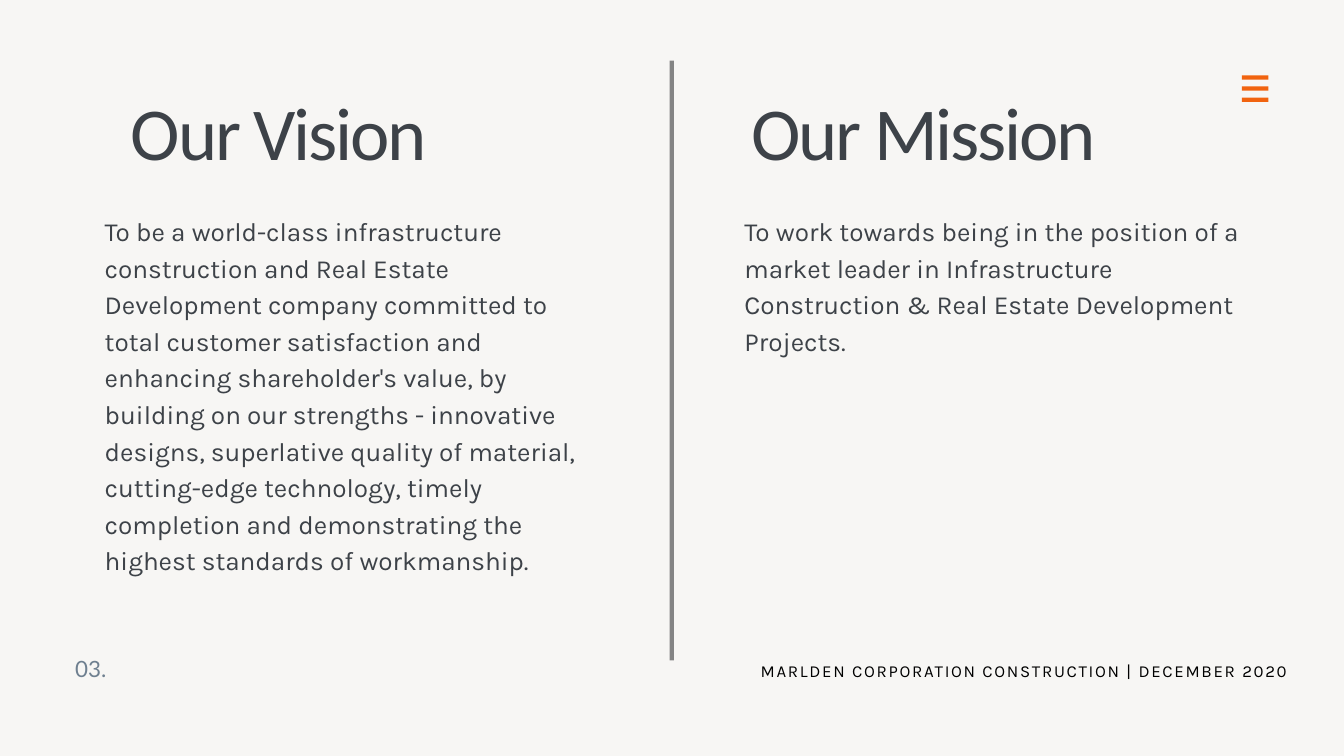
from dataclasses import dataclass

from pptx import Presentation
from pptx.dml.color import RGBColor
from pptx.enum.shapes import MSO_SHAPE
from pptx.enum.text import MSO_ANCHOR, MSO_AUTO_SIZE, PP_ALIGN
from pptx.shapes.autoshape import Shape
from pptx.slide import Slide
from pptx.util import Cm, Pt

RECTANGLE = MSO_SHAPE.RECTANGLE
TOP = MSO_ANCHOR.TOP
GROW = MSO_AUTO_SIZE.SHAPE_TO_FIT_TEXT
LEFT, CENTER = PP_ALIGN.LEFT, PP_ALIGN.CENTER

COLORS = {
    "background": "F7F6F4",
    "menu": "F1630F",
    "divider": "848484",
    "ink": "3D4248",
    "number": "6F8090",
    "footer": "000000",
}


@dataclass(frozen=True)
class Box:
    left: float
    top: float
    width: float
    height: float


@dataclass(frozen=True)
class Style:
    font: str
    size: float
    leading: float
    color: str
    tracking: float = 0
    align: PP_ALIGN = LEFT


@dataclass(frozen=True)
class Statement:
    heading: str
    heading_box: Box
    body: str
    body_box: Box


HEADING = Style("Calibri", 80, 88, "ink", -2.4)
BODY = Style("Karla", 28, 39.2, "ink")
NUMBER = Style("Lato", 24, 33.6, "number")
FOOTER = Style("Karla", 18, 25.2, "footer", 1.8, CENTER)

VISION = Statement(
    "Our Vision",
    Box(4.95, 3.53, 15.47, 3.2),
    "To be a world-class infrastructure construction and Real Estate "
    "Development company committed to total customer satisfaction and "
    "enhancing shareholder's value, by building on our strengths - innovative "
    "designs, superlative quality of material, cutting-edge technology, timely "
    "completion and demonstrating the highest standards of workmanship.",
    Box(3.96, 7.95, 18.8, 13.72),
)
MISSION = Statement(
    "Our Mission",
    Box(28.4, 3.53, 16.74, 3.2),
    "To work towards being in the position of a market leader in "
    "Infrastructure Construction & Real Estate Development Projects.",
    Box(28.14, 7.95, 18.8, 5.46),
)

MENU_BARS = 3
MENU_TOP = 2.85
MENU_PITCH = 0.42


def rgb(name: str) -> RGBColor:
    return RGBColor.from_string(COLORS[name])


def place(shape: Shape, box: Box) -> None:
    shape.left, shape.top = Cm(box.left), Cm(box.top)
    shape.width, shape.height = Cm(box.width), Cm(box.height)


def write(shape: Shape, text: str, box: Box, style: Style) -> None:
    frame = shape.text_frame
    frame.text = text
    frame.word_wrap = True
    frame.auto_size = GROW
    frame.vertical_anchor = TOP
    frame.margin_left = frame.margin_right = 0
    frame.margin_top = frame.margin_bottom = 0
    paragraph = frame.paragraphs[0]
    paragraph.alignment = style.align
    paragraph.line_spacing = Pt(style.leading)
    paragraph.space_before = Pt(0)
    paragraph.font.name = style.font
    paragraph.font.size = Pt(style.size)
    paragraph.font.color.rgb = rgb(style.color)
    if style.tracking:
        properties = paragraph.runs[0]._r.get_or_add_rPr()
        properties.set("spc", str(round(style.tracking * 100)))
    place(shape, box)


def add_text(slide: Slide, text: str, box: Box, style: Style) -> None:
    write(slide.shapes.add_textbox(0, 0, 0, 0), text, box, style)


def add_bar(slide: Slide, box: Box, color: str) -> None:
    bar = slide.shapes.add_shape(RECTANGLE, 0, 0, 0, 0)
    place(bar, box)
    bar.shadow.inherit = False
    bar.fill.solid()
    bar.fill.fore_color.rgb = rgb(color)
    bar.line.fill.background()


def main() -> None:
    deck = Presentation()
    deck.slide_width, deck.slide_height = Cm(50.8), Cm(28.58)
    slide = deck.slides.add_slide(deck.slide_layouts.get_by_name("Title Only"))
    slide.background.fill.solid()
    slide.background.fill.fore_color.rgb = rgb("background")

    for row in range(MENU_BARS):
        add_bar(slide, Box(46.94, MENU_TOP + row * MENU_PITCH, 1, 0.16), "menu")
    add_bar(slide, Box(25.31, 2.29, 0.16, 22.68), "divider")

    write(slide.shapes.title, VISION.heading, VISION.heading_box, HEADING)
    add_text(slide, MISSION.heading, MISSION.heading_box, HEADING)
    for statement in (VISION, MISSION):
        add_text(slide, statement.body, statement.body_box, BODY)

    add_text(slide, "03.", Box(2.84, 24.59, 12.19, 1.12), NUMBER)
    add_text(
        slide,
        "MARLDEN CORPORATION CONSTRUCTION | DECEMBER 2020",
        Box(28.4, 24.87, 20.62, 0.86),
        FOOTER,
    )
    deck.save("out.pptx")


if __name__ == "__main__":
    main()
